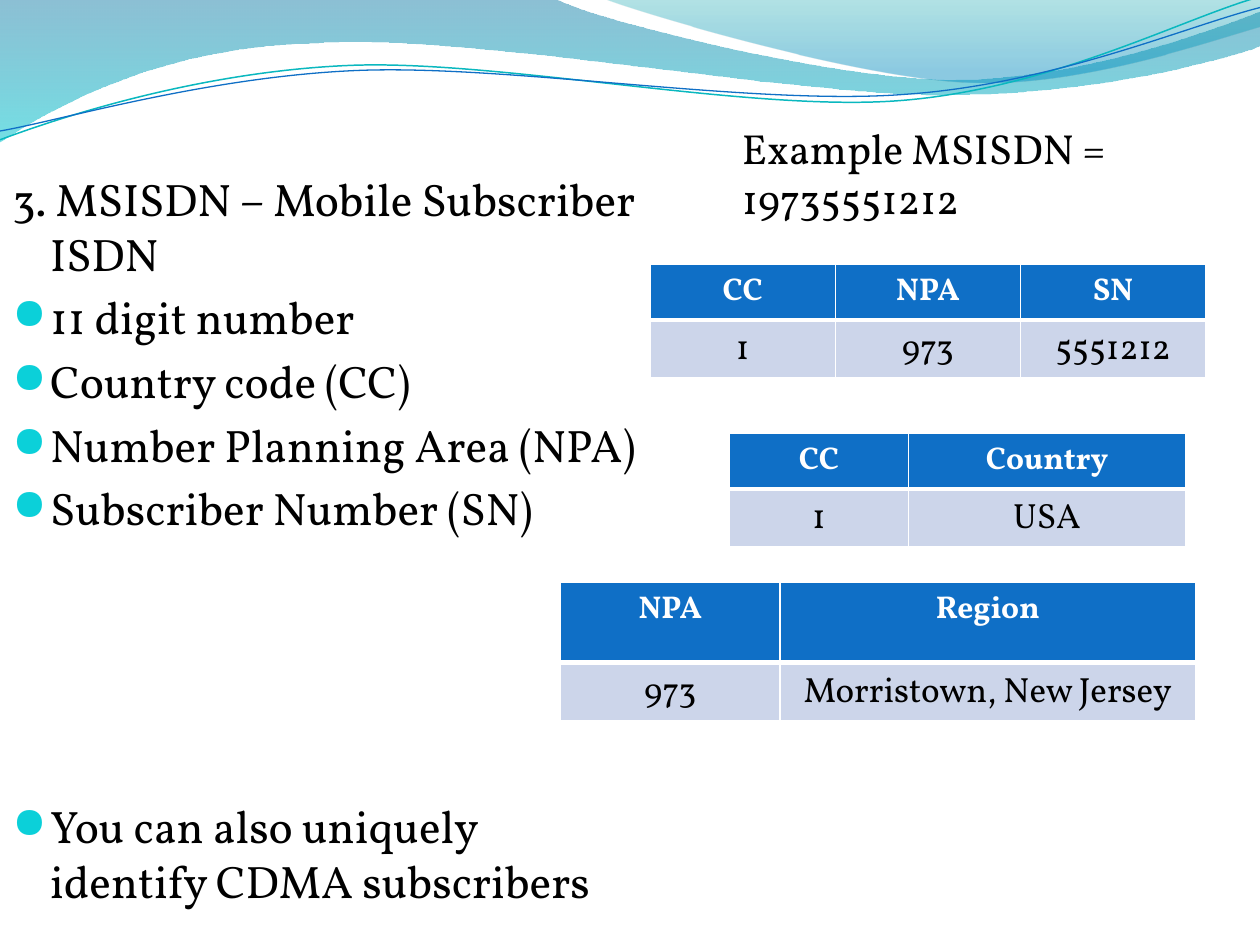
"""Build the MSISDN slide with its wave header, bullet list and number tables."""
from lxml import etree
from pptx import Presentation
from pptx.dml.color import RGBColor
from pptx.enum.text import PP_ALIGN
from pptx.oxml.ns import qn
from pptx.util import Inches, Pt

CENTER = PP_ALIGN.CENTER
FONT = "Vollkorn"


def rgb(value):
    return RGBColor.from_string(value)


def add_curve(shapes, start, segments, close):
    pts = [(Inches(x), Inches(y)) for seg in segments
           for x, y in zip(seg[::2], seg[1::2])]
    fb = shapes.build_freeform(Inches(start[0]), Inches(start[1]), scale=1.0)
    fb.add_line_segments(pts, close=close)
    sp = fb.convert_to_shape()
    sp.shadow.inherit = False
    nodes = iter(list(sp._element.iter(qn("a:lnTo"))))
    for seg in segments:
        group = [next(nodes) for _ in range(len(seg) // 2)]
        if len(group) == 3:
            curve = etree.Element(qn("a:cubicBezTo"))
            group[0].addprevious(curve)
            for node in group:
                curve.append(node[0])
                node.getparent().remove(node)
    return sp


prs = Presentation()
prs.slide_width, prs.slide_height = Inches(10), Inches(7.5)
s = prs.slides.add_slide(prs.slide_layouts[6])

waves = [
    ((0, 0),
     [(4.4, -0.01), (4.76, 0.17, 6.64, 0.63, 7.58, 0.63),
      (8.53, 0.63, 9.58, 0.26, 10, 0.09), (10.01, 0.36),
      (9.83, 0.44, 8.7, 0.76, 7.46, 0.75), (6.22, 0.75, 3.82, 0.28, 2.57, 0.34),
      (1.29, 0.36, 0.46, 0.83, -0.01, 1.13)],
     [(0, "0074A1", 45), (1, "00C6CF", 55)]),
    ((4.79, -0.01),
     [(5.09, 0.11, 6.82, 0.62, 7.69, 0.65), (8.56, 0.69, 9.61, 0.32, 10, 0.21),
      (10, 0)],
     [(0, "00A1A9", 30), (0.8, "008BBF", 45)]),
]
for start, segments, stops in waves:
    sp = add_curve(s.shapes, start, segments, True)
    sp.line.fill.background()
    sp.fill.gradient()
    sp.fill.gradient_angle = 270
    for stop, (pos, color, alpha) in zip(sp.fill.gradient_stops, stops):
        stop.position = pos
        stop.color.rgb = rgb(color)
    for clr, (pos, color, alpha) in zip(sp._element.spPr.iter(qn("a:srgbClr")), stops):
        etree.SubElement(clr, qn("a:alpha"), val=str(alpha * 1000))

lines = [
    ((0, 1.11), [(0.48, 0.93, 1.58, 0.57, 2.77, 0.52),
                 (3.95, 0.47, 5.93, 0.89, 7.13, 0.8),
                 (8.33, 0.71, 9.38, 0.15, 9.98, -0.02)], "0AB8BF", 0.85),
    ((0, 1.04), [(0.47, 0.96, 1.64, 0.61, 2.83, 0.56),
                 (4.03, 0.51, 5.97, 0.84, 7.17, 0.75),
                 (8.36, 0.67, 9.41, 0.21, 10, 0.06)], "0F6FC6", 0.75),
]
for start, segments, color, width in lines:
    sp = add_curve(s.shapes, start, segments, False)
    sp.fill.background()
    sp.line.color.rgb = rgb(color)
    sp.line.width = Pt(width)

items = ["3. MSISDN – Mobile Subscriber ISDN", "11 digit number",
         "Country code (CC)", "Number Planning Area (NPA)",
         "Subscriber Number (SN)",
         "You can also uniquely identify CDMA subscribers"]
gaps = [0, 5.2, 5.2, 5.2, 5.2, 150.5]
tf = s.shapes.add_textbox(Inches(0), Inches(1.31), Inches(5.16), Inches(5.83)).text_frame
tf.word_wrap = True
for i, (item, gap) in enumerate(zip(items, gaps)):
    p = tf.paragraphs[0] if i == 0 else tf.add_paragraph()
    p.text = item
    p.space_before = Pt(gap)
    pPr = p._p.get_or_add_pPr()
    pPr.set("marL", str(Inches(0.3)))
    pPr.set("indent", str(Inches(-0.3)))
    if i:
        bu = etree.SubElement(pPr, qn("a:buClr"))
        etree.SubElement(bu, qn("a:srgbClr"), val="0BD0D9")
        etree.SubElement(pPr, qn("a:buSzPct"), val="95000")
        etree.SubElement(pPr, qn("a:buFont"), typeface="OpenSymbol")
        etree.SubElement(pPr, qn("a:buChar"), char="●")
    font = p.runs[0].font
    font.size = Pt(26)
    font.name = FONT
    font.color.rgb = rgb("000000")

tables = [
    (5.16, 2.1, [1.47, 1.47, 1.47], [0.44, 0.46],
     [["CC", "NPA", "SN"], ["1", "973", "5551212"]]),
    (4.45, 4.62, [1.74, 3.3], [0.64, 0.46],
     [["NPA", "Region"], ["973", "Morristown, New Jersey"]]),
    (5.79, 3.44, [1.42, 2.2], [0.44, 0.46],
     [["CC", "Country"], ["1", "USA"]]),
]
for left, top, widths, heights, rows in tables:
    tbl = s.shapes.add_table(len(rows), len(widths), Inches(left), Inches(top),
                             Inches(sum(widths)), Inches(sum(heights))).table
    for col, width in zip(tbl.columns, widths):
        col.width = Inches(width)
    for r, (row, height) in enumerate(zip(rows, heights)):
        tbl.rows[r].height = Inches(height)
        for c, text in enumerate(row):
            cell = tbl.cell(r, c)
            cell.text = text
            p = cell.text_frame.paragraphs[0]
            p.alignment = CENTER
            font = p.runs[0].font
            font.name = FONT
            font.size = Pt(20 if r else 18)
            font.bold = r == 0
            font.color.rgb = rgb("000000" if r else "FFFFFF")
            tcPr = cell._tc.get_or_add_tcPr()
            for side in "LRTB":
                thick = side == ("T" if r else "B")
                ln = etree.SubElement(tcPr, qn("a:ln" + side), w=str(Pt(3 if thick else 1)))
                fill = etree.SubElement(ln, qn("a:solidFill"))
                etree.SubElement(fill, qn("a:srgbClr"), val="FFFFFF")
            cell.fill.solid()
            cell.fill.fore_color.rgb = rgb("CCD5EA" if r else "0F6FC6")

tf = s.shapes.add_textbox(Inches(5.79), Inches(0.92), Inches(3.46), Inches(0.91)).text_frame
tf.word_wrap = True
p = tf.paragraphs[0]
p.text = "Example MSISDN = 19735551212"
font = p.runs[0].font
font.size = Pt(24)
font.name = FONT
font.color.rgb = rgb("000000")

prs.save("out.pptx")
